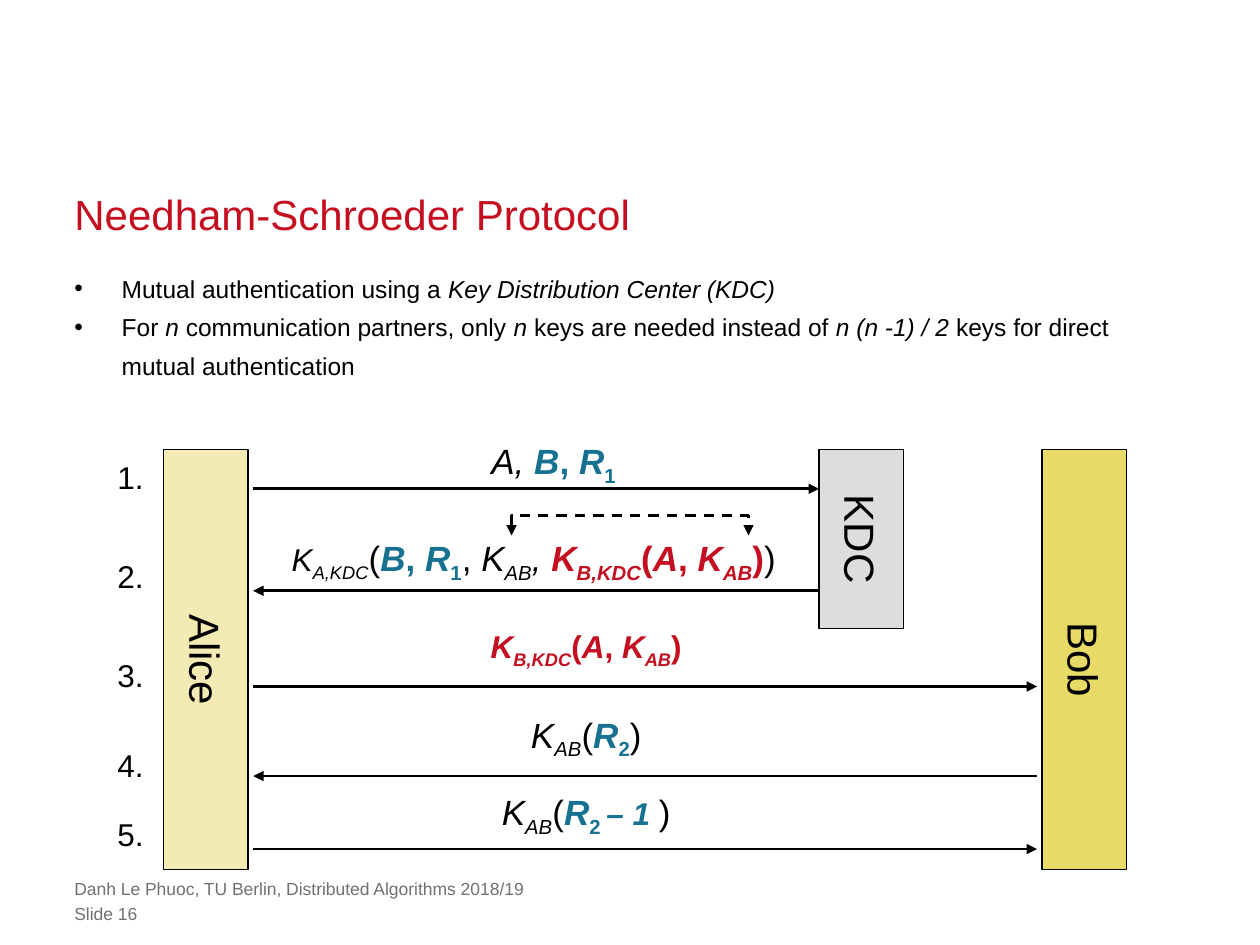
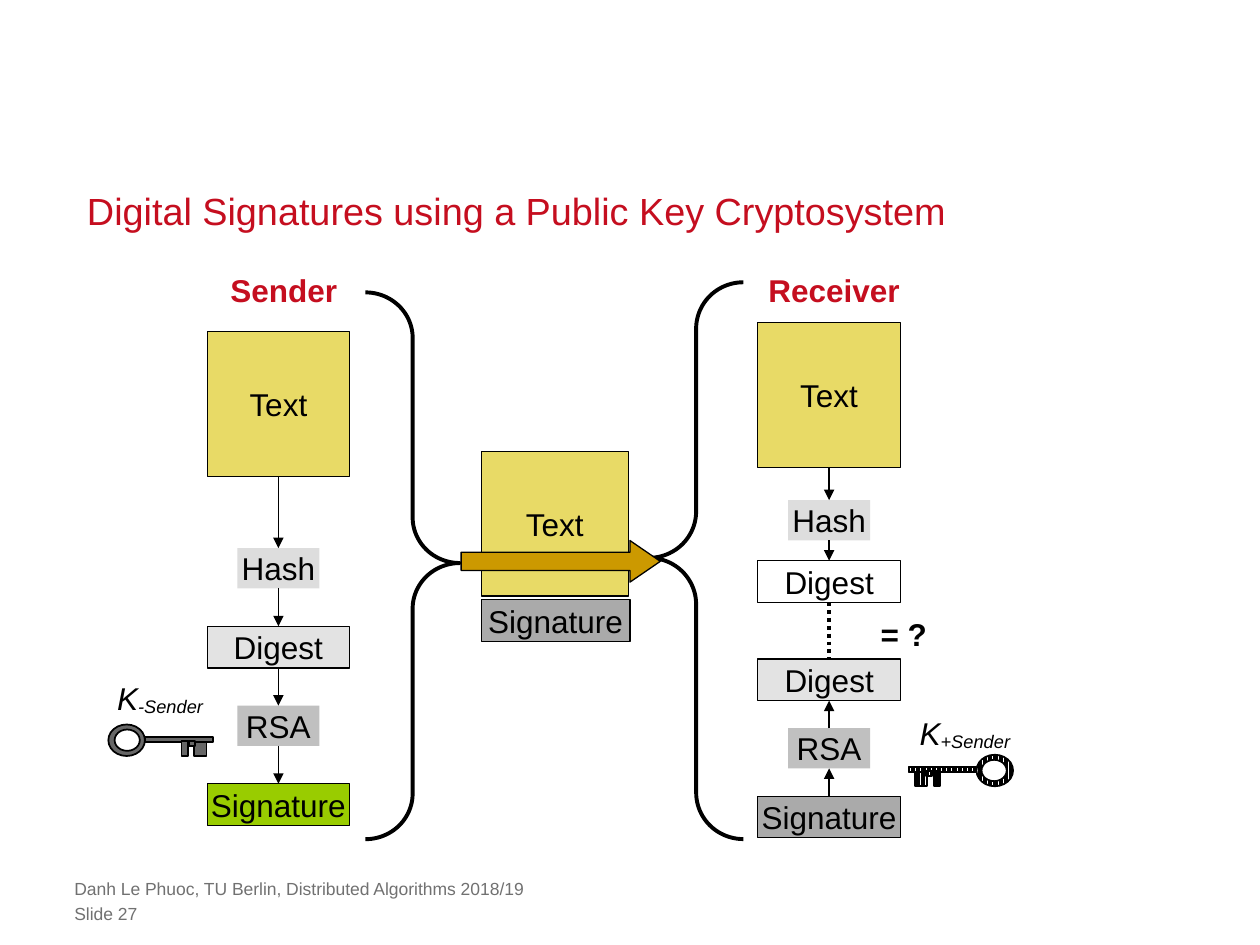
import pptx
import pptx.dml.color
import pptx.enum.dml
import pptx.enum.shapes
import pptx.enum.text
import pptx.oxml
import pptx.oxml.ns
import pptx.util

Pt = pptx.util.Pt
RGBColor = pptx.dml.color.RGBColor
SHAPE = pptx.enum.shapes.MSO_SHAPE
ALIGN = pptx.enum.text.PP_ALIGN
ANCHOR = pptx.enum.text.MSO_ANCHOR
AUTO_SIZE = pptx.enum.text.MSO_AUTO_SIZE
DASH = pptx.enum.dml.MSO_LINE

BLACK = RGBColor(0, 0, 0)
WHITE = RGBColor(255, 255, 255)
RED = RGBColor(0xC5, 0x0E, 0x1F)
TEAL = RGBColor(0x17, 0x71, 0x91)
FOOTER_GREY = RGBColor(0x71, 0x71, 0x71)
KEY_GREY = RGBColor(0x67, 0x67, 0x67)
YELLOW = RGBColor(0xE8, 0xDA, 0x66)
PALE_YELLOW = RGBColor(0xF3, 0xEB, 0xB3)
HASH_GREY = RGBColor(0xDD, 0xDD, 0xDD)
DIGEST_GREY = RGBColor(0xE3, 0xE3, 0xE3)
RSA_GREY = RGBColor(0xC0, 0xC0, 0xC0)
SIGNATURE_GREY = RGBColor(0xAA, 0xAA, 0xAA)
GREEN = RGBColor(0x99, 0xCC, 0x00)
OCHRE = RGBColor(0xCC, 0x99, 0x00)

FONT = "Arial"
MARGIN = 42.5
BASELINES = {"_": "-25000", "~": "-10000"}
FOOTER = "Danh Le Phuoc, TU Berlin, Distributed Algorithms 2018/19"

SHARED_KEY = [("K", "i"), ("AB", "i_")]
TICKET = [("K", "bi", RED), ("B,KDC", "bi_", RED), ("(", "b", RED), ("A", "bi", RED),
          (", ", "b", RED), ("K", "bi", RED), ("AB", "bi_", RED), (")", "b", RED)]
CHALLENGE = [("B", "bi", TEAL), (", ", "b", TEAL), ("R", "bi", TEAL), ("1", "b_", TEAL)]


def add_pieces(paragraph, pieces, size, colour=BLACK):
    """Append runs given as (text, flags, colour, size), the last two optional."""
    for text, flags, *rest in pieces:
        run = paragraph.add_run()
        run.text = text
        run.font.name = FONT
        run.font.size = Pt(rest[1] if len(rest) > 1 else size)
        run.font.color.rgb = rest[0] if rest else colour
        run.font.bold = "b" in flags
        run.font.italic = "i" in flags
        for flag in set(flags) & set(BASELINES):
            run._r.get_or_add_rPr().set("baseline", BASELINES[flag])


def set_insets(frame, horizontal, vertical):
    """Set equal margins left and right, and top and bottom."""
    frame.margin_left = frame.margin_right = Pt(horizontal)
    frame.margin_top = frame.margin_bottom = Pt(vertical)


def add_label(slide, box, pieces, size, colour=BLACK, alignment=ALIGN.CENTER):
    """Add an unwrapped text box that grows with its text."""
    shape = slide.shapes.add_textbox(*map(Pt, box))
    frame = shape.text_frame
    frame.word_wrap = False
    frame.auto_size = AUTO_SIZE.SHAPE_TO_FIT_TEXT
    frame.paragraphs[0].alignment = alignment
    add_pieces(frame.paragraphs[0], pieces, size, colour)
    return shape


def add_box(slide, kind, box, fill=None, line_width=0.75, text=""):
    """Add a preset shape with an optional fill, outline and centred text."""
    shape = slide.shapes.add_shape(kind, *map(Pt, box))
    shape.shadow.inherit = False
    if fill is None:
        shape.fill.background()
    else:
        shape.fill.solid()
        shape.fill.fore_color.rgb = fill
    if line_width:
        shape.line.color.rgb = BLACK
        shape.line.width = Pt(line_width)
    else:
        shape.line.fill.background()
    if text:
        frame = shape.text_frame
        frame.word_wrap = False
        frame.vertical_anchor = ANCHOR.MIDDLE
        frame.paragraphs[0].alignment = ALIGN.CENTER
        add_pieces(frame.paragraphs[0], [(text, "")], 18)
    return shape


def add_arrowheads(line, *ends):
    """Put a triangle on the given ends, headEnd before tailEnd."""
    for end in ends:
        element = pptx.oxml.ns.qn("a:" + end)
        line._get_or_add_ln().append(line._ln.makeelement(element, {"type": "triangle"}))


def add_line(slide, start, end, width, dash=None):
    """Add a straight arrow, or a plain line if a dash is given."""
    connector = slide.shapes.add_connector(
        pptx.enum.shapes.MSO_CONNECTOR.STRAIGHT, *map(Pt, (*start, *end)))
    properties = connector._element.spPr
    connector.line.color.rgb = BLACK
    connector.line.width = Pt(width)
    if dash:
        connector.line.dash_style = dash
    else:
        add_arrowheads(connector.line, "tailEnd")
    properties.append(properties.makeelement(pptx.oxml.ns.qn("a:effectLst"), {}))


def add_slide(presentation, title, size, number, insets):
    """Add a slide with its title and footer lines."""
    slide = presentation.slides.add_slide(presentation.slide_layouts[5])
    shape = slide.shapes.title
    shape.left, shape.top, shape.width, shape.height = map(Pt, (MARGIN, 106.6, 635, 30.2))
    frame = shape.text_frame
    frame.auto_size = AUTO_SIZE.NONE
    frame.vertical_anchor = ANCHOR.BOTTOM
    set_insets(frame, *insets)
    frame.paragraphs[0].alignment = ALIGN.LEFT
    frame.paragraphs[0].line_spacing = Pt(30)
    add_pieces(frame.paragraphs[0], [(title, "")], size, RED)
    for top, text in ((501.8, FOOTER), (516.2, f"Slide {number}")):
        frame = slide.shapes.add_textbox(*map(Pt, (MARGIN, top, 521, 12.2))).text_frame
        frame.word_wrap = True
        set_insets(frame, 0, 0)
        add_pieces(frame.paragraphs[0], [(text, "")], 10, FOOTER_GREY)
    return slide


def add_bullets(slide, box, items):
    """Add a bulleted list of rich paragraphs."""
    frame = slide.shapes.add_textbox(*map(Pt, box)).text_frame
    frame.word_wrap = True
    set_insets(frame, 0, 0)
    for index, pieces in enumerate(items):
        paragraph = frame.add_paragraph() if index else frame.paragraphs[0]
        paragraph.line_spacing = Pt(22)
        properties = paragraph._p.get_or_add_pPr()
        properties.set("marL", str(Pt(27)))
        properties.set("indent", str(-Pt(27)))
        for tag, value in (("a:buFont", {"typeface": FONT}), ("a:buChar", {"char": "•"})):
            properties.append(properties.makeelement(pptx.oxml.ns.qn(tag), value))
        add_pieces(paragraph, pieces, 14)


def add_participant(slide, box, name, fill):
    """Add an upright bar with its name turned a quarter."""
    add_box(slide, SHAPE.RECTANGLE, box, fill)
    left, top, width, height = box
    label = add_label(slide, (left + width / 2 - 40, top + height / 2 - 18, 80, 36),
                      [(name, "")], 24)
    label.rotation = 90


def add_protocol(slide, left, top):
    """Add the participants and the five numbered messages between them."""
    alice, center, bob = left + 84.7, left + 408, left + 532.6
    add_participant(slide, (left + 33.6, top, 48.2, 240), "Alice", PALE_YELLOW)
    add_participant(slide, (left + 535.5, top, 48.2, 240), "Bob", YELLOW)
    add_participant(slide, (center, top, 48.2, 102.2), "KDC", HASH_GREY)
    messages = [
        (1.4, 22.3, alice, center, 256.3, -9.4, 20, [("A, ", "i")] + CHALLENGE),
        (57.5, 80.6, center, alice, 245, 46, 20,
         [("K", "i", BLACK, 18), ("A,KDC", "i_", BLACK, 18), ("(", "")] + CHALLENGE
         + [(", ", "")] + SHARED_KEY + [(", ", "i")] + TICKET + [(")", "")]),
        (114.4, 135.3, alice, bob, 275, 98, 18, TICKET),
        (165.5, 186.5, bob, alice, 275, 147, 20,
         SHARED_KEY + [("(", ""), ("R", "bi", TEAL), ("2", "b_", TEAL), (")", "")]),
        (205.1, 228.2, alice, bob, 275, 191.4, 20,
         SHARED_KEY + [("(", ""), ("R", "bi", TEAL), ("2 ", "b_", TEAL),
                       ("– 1 ", "bi", TEAL, 18), (")", "")]),
    ]
    for number, message in enumerate(messages, 1):
        number_top, line_top, start, end, middle, label_top, size, pieces = message
        add_label(slide, (left, top + number_top, 29.5, 28.8), [(f"{number}.", "")], 18,
                  alignment=ALIGN.LEFT)
        add_line(slide, (start, top + line_top), (end, top + line_top), 1.5)
        width = 320 if number == 2 else 160
        add_label(slide, (left + middle - width / 2, top + label_top, width, 31.7),
                  pieces, size)
    add_key_bracket(slide, left + 232.3, top + 37.5, 135.4, 11.5)


def add_key_bracket(slide, left, top, width, height):
    """Add the dashed bracket that joins both places of the shared key."""
    bottom, right = top + height, left + width
    builder = slide.shapes.build_freeform(Pt(left), Pt(bottom))
    corners = ((left, top), (right, top), (right, bottom))
    builder.add_line_segments([(Pt(x), Pt(y)) for x, y in corners], close=False)
    bracket = builder.convert_to_shape()
    bracket.shadow.inherit = False
    bracket.fill.background()
    bracket.line.color.rgb = BLACK
    bracket.line.width = Pt(1.5)
    bracket.line.dash_style = DASH.DASH
    add_arrowheads(bracket.line, "headEnd", "tailEnd")


def add_chain(slide, center, top, width, steps, links):
    """Add a column of boxes joined by down, up or dotted links."""
    previous_bottom = None
    for (text, offset, fill), link in zip(steps, [None] + links):
        operation = text in ("Hash", "RSA")
        box_width = 46.8 if operation else width
        height = 82.8 if text == "Text" else 23 if operation else 23.8
        box_top = top + offset
        add_box(slide, SHAPE.RECTANGLE, (center - box_width / 2, box_top, box_width, height),
                fill, 0 if operation else 0.75, text)
        if link:
            ends = [(center, previous_bottom), (center, box_top)]
            if link == "up":
                ends.reverse()
            dotted = link == "dotted"
            add_line(slide, *ends, 2.25 if dotted else 0.75, DASH.ROUND_DOT if dotted else None)
        previous_bottom = box_top + height


def add_key(slide, left, top, public=False):
    """Add a key, mirrored and striped if it is public."""
    bow, hole = (0, 0, 20.9, 18), (3.6, 2.9, 14.4, 12.2)
    bits = [(41.8, 9.4, 3.6, 2.9), (41.8, 9.4, 3.6, 8.6), (46.1, 9.4, 3.6, 2.9)]
    parts = [(49, 9.4, 7.2, 8.6), bow, hole, (20.9, 7.2, 38.9, 2.9)] + bits
    for part in parts:
        x, y, width, height = part
        if public:
            x = 59.8 - x - width
        kind = SHAPE.OVAL if part in (bow, hole) else SHAPE.RECTANGLE
        shape = add_box(slide, kind, (left + x, top + y, width, height),
                        WHITE if part == hole else KEY_GREY, 1)
        if public and part != hole:
            shape.fill.patterned()
            shape.fill.pattern = pptx.enum.dml.MSO_PATTERN.DARK_VERTICAL
            shape.fill.fore_color.rgb = BLACK
            shape.fill.back_color.rgb = WHITE


def add_transfer(slide, left, top):
    """Add the signed text between two braces and the arrow that carries it."""
    braces = ((SHAPE.RIGHT_BRACE, 0, 5.8, 312.5, 0.482),
              (SHAPE.LEFT_BRACE, 162, 0, 318.2, 0.491))
    for kind, x, y, height, curve in braces:
        brace = add_box(slide, kind, (left + x, top + y, 54, height), None, 2.25)
        brace.adjustments[0] = curve
        brace.adjustments[1] = 0.495
    add_box(slide, SHAPE.RECTANGLE, (left + 66.2, top + 181.4, 85, 23.8),
            SIGNATURE_GREY, text="Signature")
    add_box(slide, SHAPE.RECTANGLE, (left + 66.2, top + 96.5, 84.2, 82.8), YELLOW, text="Text")
    arrow = add_box(slide, SHAPE.RIGHT_ARROW, (left + 54.7, top + 147.6, 113.8, 23.8), OCHRE)
    arrow.adjustments[0] = 0.438
    arrow.adjustments[1] = 0.729


def build_protocol_slide(presentation):
    """Build the slide on the authentication protocol."""
    slide = add_slide(presentation, "Needham-Schroeder Protocol ", 24, 16, (0, 0))
    add_bullets(slide, (MARGIN, 151.2, 635, 70), [
        [("Mutual authentication using a ", ""), ("Key Distribution Center (KDC)", "i")],
        [("For ", ""), ("n", "i"), (" communication partners, only ", ""), ("n", "i"),
         (" keys are needed instead of ", ""), ("n (n -1) / 2", "i"),
         (" keys for direct mutual authentication", "")],
    ])
    add_protocol(slide, 60, 257)


def build_signature_slide(presentation):
    """Build the slide on digital signatures."""
    slide = add_slide(presentation, "Digital Signatures using a Public Key Cryptosystem",
                      21.6, 27, (7.2, 3.6))
    add_transfer(slide, 208.8, 161.3)
    add_chain(slide, 159.1, 189.4, 81,
              [("Text", 0, YELLOW), ("Hash", 123.8, HASH_GREY), ("Digest", 168.5, DIGEST_GREY),
               ("RSA", 213.8, RSA_GREY), ("Signature", 258.5, GREEN)], ["down"] * 4)
    add_chain(slide, 473.8, 184.3, 82,
              [("Text", 0, YELLOW), ("Hash", 101.5, HASH_GREY), ("Digest", 136.1, WHITE),
               ("Digest", 192.3, DIGEST_GREY), ("RSA", 231.8, RSA_GREY),
               ("Signature", 270.7, SIGNATURE_GREY)],
              ["down", "down", "dotted", "up", "up"])
    add_key(slide, 61.9, 414)
    add_key(slide, 519.1, 431.3, public=True)
    labels = [
        ((124.6, 151.2, 75.6, 28.8), [("Sender", "b", RED)]),
        ((432, 151.2, 89.3, 28.8), [("Receiver", "b", RED)]),
        ((59.8, 384.5, 69.1, 28.8), [("K", "i"), ("-Sender", "i~")]),
        ((518.4, 404.6, 72, 28.8), [("K", "i"), ("+Sender", "i~")]),
        ((496.1, 347.8, 41, 28.8), [("= ?", "b")]),
    ]
    for box, pieces in labels:
        add_label(slide, box, pieces, 18, alignment=ALIGN.LEFT)


presentation = pptx.Presentation()
presentation.slide_width, presentation.slide_height = Pt(720), Pt(540)
build_protocol_slide(presentation)
build_signature_slide(presentation)
presentation.save("out.pptx")
